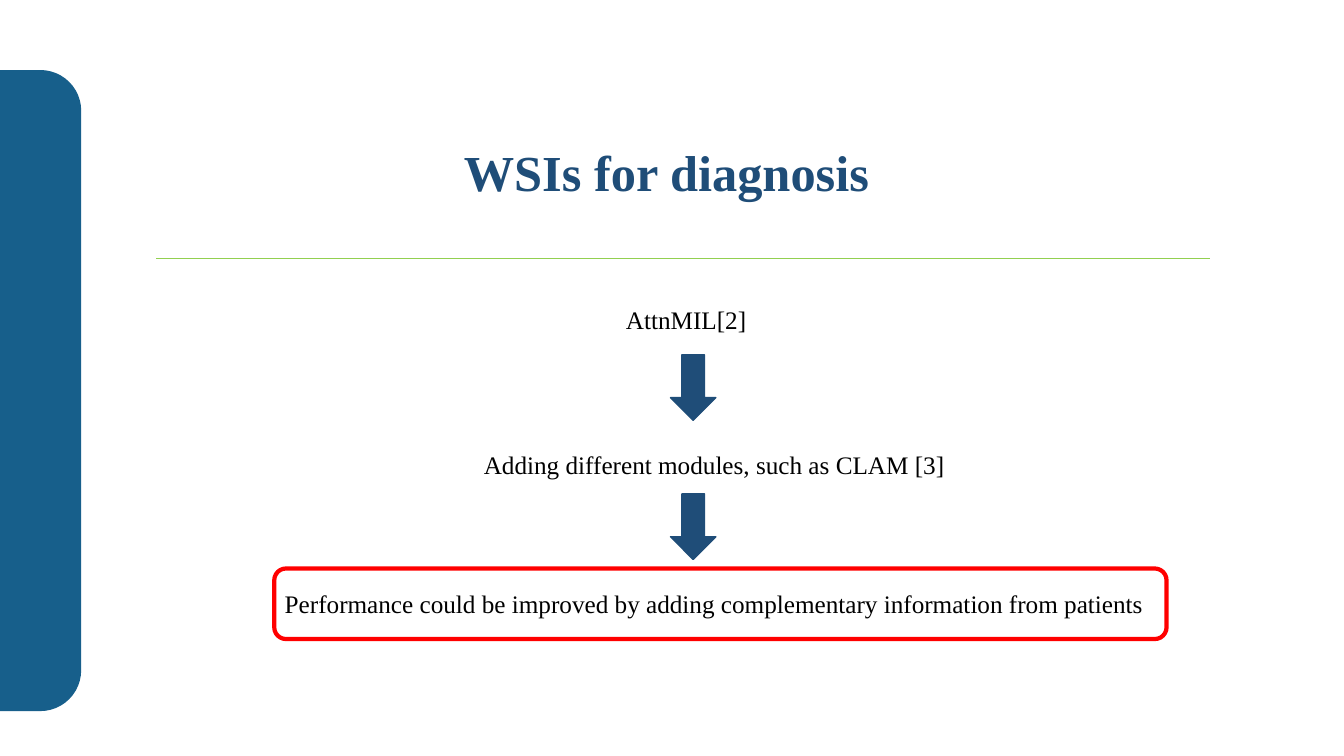
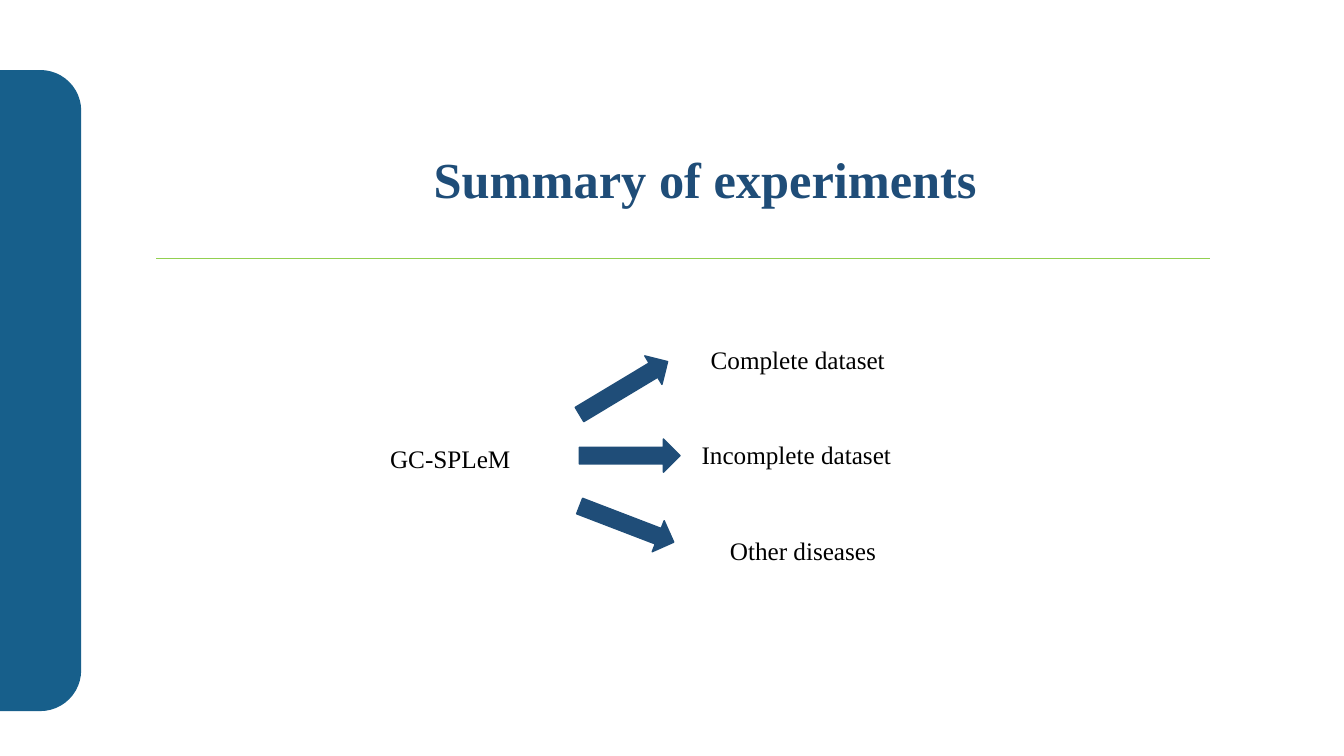
from lxml.etree import SubElement
from pptx import Presentation
from pptx.dml.color import RGBColor
from pptx.enum.shapes import MSO_CONNECTOR, MSO_SHAPE
from pptx.enum.text import MSO_ANCHOR, MSO_AUTO_SIZE, PP_ALIGN
from pptx.oxml.ns import qn
from pptx.util import Pt

PX = 9144  # EMU per px, 100 px to the inch
NAVY = RGBColor(0x1F, 0x4D, 0x78)
BAND = RGBColor(0x17, 0x5F, 0x8B)
GREEN = RGBColor(0x92, 0xD0, 0x50)
RED = RGBColor(0xFF, 0x00, 0x00)
BLACK = RGBColor(0x00, 0x00, 0x00)

FONT = "Times New Roman"
TITLE = {"name": FONT, "size": Pt(36), "bold": True}
BODY = {"name": FONT, "size": Pt(18), "bold": False}
FRAME = {"word_wrap": True, "auto_size": MSO_AUTO_SIZE.NONE,
         "vertical_anchor": MSO_ANCHOR.MIDDLE}
DIAGRAM = (272, 297, 909, 337)


def px(*lengths):
    return [n * PX for n in lengths]


def set_all(obj, values):
    for name, value in values.items():
        setattr(obj, name, value)


def write(sp, text, font=BODY, color=BLACK, align=PP_ALIGN.LEFT):
    tf = sp.text_frame
    set_all(tf, FRAME)
    p = tf.paragraphs[0]
    p.alignment = align
    r = p.add_run()
    r.text = text
    set_all(r.font, font)
    r.font.color.rgb = color
    return tf


def add_label(slide, box, text):
    write(slide.shapes.add_textbox(*px(*box)), text)


def add_shape(slide, kind, box, fill=None, line=None, width=1, rotation=0):
    sp = slide.shapes.add_shape(kind, *px(*box))
    sp.shadow.inherit = False
    sp.rotation = rotation
    if fill is None:
        sp.fill.background()
    else:
        sp.fill.solid()
        sp.fill.fore_color.rgb = fill
    if line is None:
        sp.line.fill.background()
    else:
        sp.line.color.rgb = line
        sp.line.width = Pt(width)
    return sp


def add_base(prs, title, box, align):
    """New slide with the side band, the rule and its title."""
    slide = prs.slides.add_slide(prs.slide_layouts[5])

    # Rule under the title
    rule = slide.shapes.add_connector(MSO_CONNECTOR.STRAIGHT,
                                      *px(155, 256, 1200, 256))
    rule.line.color.rgb = GREEN
    rule.line.width = Pt(0.5)
    SubElement(rule._element.spPr, qn("a:effectLst"))

    # Side band, turned so that its rounded corners face right
    band = add_shape(slide, MSO_SHAPE.ROUND_2_SAME_RECTANGLE,
                     (-278, 347, 636, 81), BAND, rotation=90)
    band.adjustments[0] = 0.5

    # Title
    sp = slide.shapes.title
    set_all(sp, dict(zip(("left", "top", "width", "height"), px(*box))))
    write(sp, title, TITLE, NAVY, align)
    return slide


def add_steps(slide, box):
    """Steps from top to bottom, the last one framed."""
    x, y, w, h = box
    add_label(slide, (x + 339, y, 152, 40), "AttnMIL[2]")
    add_label(slide, (x + 198, y + 144, 512, 40),
              "Adding different modules, such as CLAM [3]")

    # Arrows between the steps
    for i in range(2):
        add_shape(slide, MSO_SHAPE.DOWN_ARROW,
                  (x + 393, y + 55 + 138 * i, 45, 65), NAVY, NAVY)

    # Framed conclusion
    sp = add_shape(slide, MSO_SHAPE.ROUNDED_RECTANGLE,
                   (x, y + h - 70, w - 24, 70), line=RED, width=3)
    tf = write(sp, "Performance could be improved by adding "
                   "complementary information from patients")
    set_all(tf, {"margin_left": 7 * PX, "margin_right": 0})


def add_branches(slide, box):
    """One method on the left, an arrow to each experiment on the right."""
    x, y, w, h = box
    add_label(slide, (x + 105, y + 138, 151, 40), "GC-SPLeM")
    branches = [
        ("Complete dataset", (423, 40, 229), (330, 37, 102), 59),
        ("Incomplete dataset", (414, 134, 238), (336, 105, 100), 90),
        ("Other diseases", (442, 229, 189), (333, 173, 100), 111),
    ]
    for text, (tx, ty, tw), (ax, ay, length), angle in branches:
        add_label(slide, (x + tx, y + ty, tw, 40), text)
        add_shape(slide, MSO_SHAPE.UP_ARROW, (x + ax, y + ay, 33, length),
                  NAVY, NAVY, rotation=angle)


def main():
    prs = Presentation()
    prs.slide_width, prs.slide_height = px(1333, 750)

    s = add_base(prs, "WSIs for diagnosis", (450, 135, 434, 71),
                 PP_ALIGN.LEFT)
    add_steps(s, DIAGRAM)

    s = add_base(prs, "Summary of experiments", (193, 141, 1013, 71),
                 PP_ALIGN.CENTER)
    add_branches(s, DIAGRAM)

    prs.save("out.pptx")


if __name__ == "__main__":
    main()
